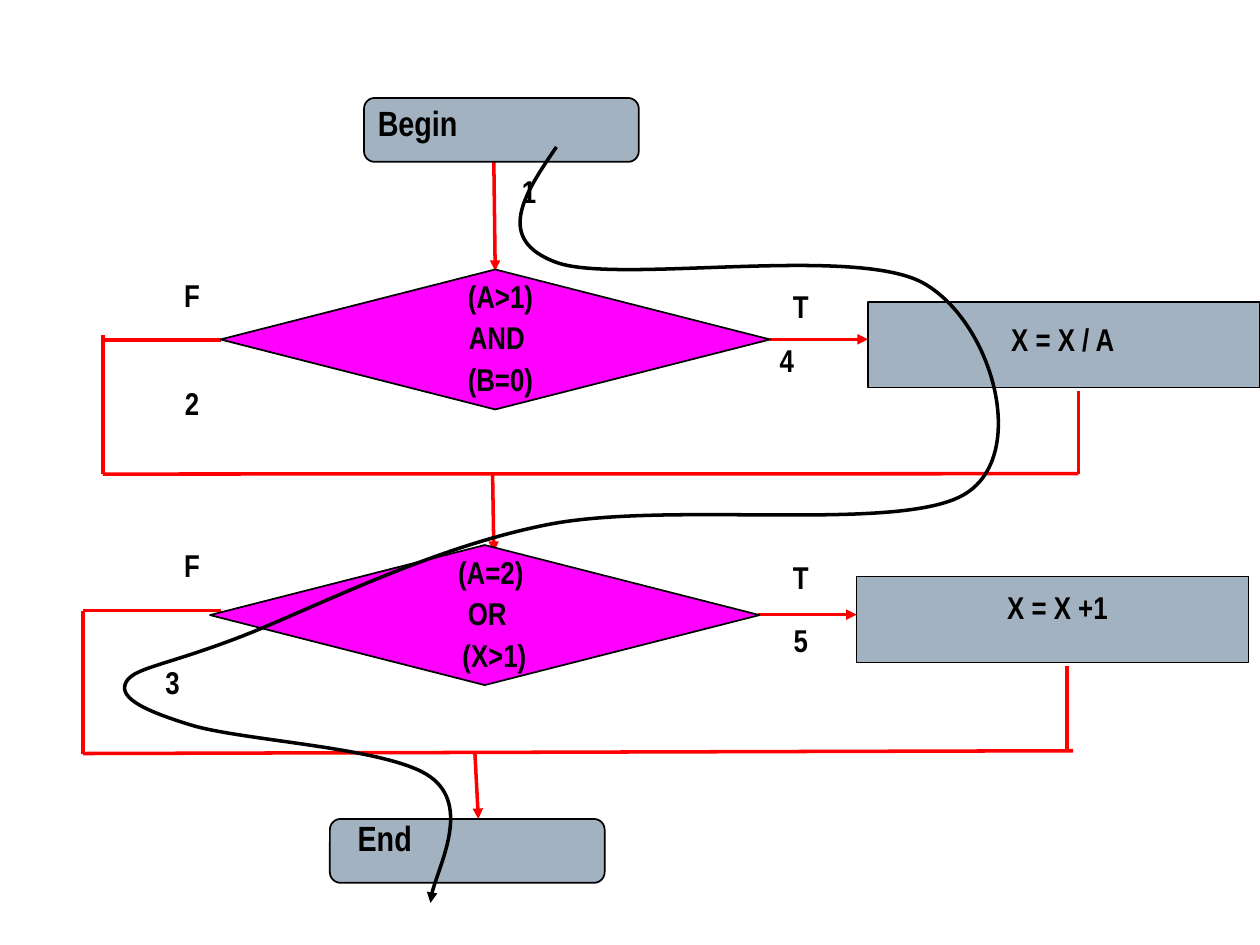
"""Build a flowchart slide with two decisions and one traced path."""
import pptx
import pptx.util
import pptx.dml.color
import pptx.enum.shapes
import pptx.enum.text
import pptx.oxml
import pptx.oxml.ns
import lxml.etree

Pt = pptx.util.Pt
Kind = pptx.enum.shapes.MSO_SHAPE
Align = pptx.enum.text.PP_ALIGN
qn = pptx.oxml.ns.qn

GREY, PINK, RED, BLACK = "A3B2C1", "FF00FF", "FF0000", "000000"

SIZES = {
    "round": (Kind.FLOWCHART_ALTERNATE_PROCESS, 157, 36.5, GREY),
    "test": (Kind.FLOWCHART_DECISION, 314, 80, PINK),
    "step": (Kind.FLOWCHART_PROCESS, 224, 49, GREY),
}
NODES = [
    ("round", 208, 56), ("test", 126, 154), ("step", 496, 172.5),
    ("test", 120, 311.5), ("step", 489.5, 329.5), ("round", 188.5, 468),
]
ARROWS = [
    (282.2, 92.2, 283, 154.8), (440, 193.9, 496, 193.9),
    (281.5, 270.7, 282.2, 315.4), (433.4, 351.2, 489.5, 351.2),
    (271.4, 430.6, 273.4, 468),
]
LINES = [
    (616.2, 223.2, 616.2, 270.7), (616.2, 270.7, 58.8, 270.9),
    (126, 194.3, 58.8, 194.3), (58.8, 191.5, 58.8, 270.9),
    (609.8, 380.6, 609.8, 429.5), (613.2, 429, 47.5, 430.6),
    (126, 349, 47.5, 349), (47.5, 349, 47.5, 430.6),
]
HEADS = [("Begin", 208.8, 54.7), ("End", 197.3, 463)]
TESTS = [
    (["(A>1)", "AND ", "(B=0)"], 179.5, 154.8),
    (["(A=2)", "OR ", " (X>1)"], 174, 312.5),
]
STEPS = [("X = X / A", 501, 179.3), ("X = X +1", 498, 332.6)]
MARKS = [
    ("1", 262.4, 95), ("2", 69.8, 216), ("3", 58.7, 375.1),
    ("4", 409.7, 191.5), ("5", 417.6, 351.4), ("T", 417.6, 160.6),
    ("T", 417.6, 315.4), ("F", 69.8, 154.1), ("F", 69.8, 308.2),
]
TRACE = [
    (318, 84), (300, 110.4), (282, 136.8), (318, 150),
    (352.8, 162.7), (489, 139.7), (528, 162),
    (567, 184.3), (588, 259.2), (552, 282),
    (516, 305), (382, 285.8), (312, 300),
    (242, 314), (172, 351.4), (132, 366),
    (92, 380.9), (76, 382), (72, 390),
    (68, 398), (79, 405), (108, 414),
    (137, 423.4), (223, 427), (246, 444),
    (269.3, 460.8), (246, 504), (246, 516),
]


def tint(text):
    return pptx.dml.color.RGBColor.from_string(text)


def apply(item, values):
    for name, value in values.items():
        setattr(item, name, value)


def stroke(shape, hue, width, head=False):
    shape.line.color.rgb = tint(hue)
    shape.line.width = Pt(width)
    if head:
        edge = shape.line._get_or_add_ln()
        lxml.etree.SubElement(edge, qn("a:tailEnd"), type="triangle")


def node(slide, name, left, top):
    kind, wide, high, hue = SIZES[name]
    shape = slide.shapes.add_shape(kind, Pt(left), Pt(top), Pt(wide), Pt(high))
    shape.shadow.inherit = False
    shape.fill.solid()
    shape.fill.fore_color.rgb = tint(hue)
    stroke(shape, BLACK, 1)


def link(slide, ends, head):
    line = slide.shapes.add_connector(
        pptx.enum.shapes.MSO_CONNECTOR.STRAIGHT, *map(Pt, ends))
    stroke(line, RED, 2, head)
    lxml.etree.SubElement(line._element.spPr, qn("a:effectLst"))


def label(slide, rows, left, top, wide, high, size=18, align=Align.CENTER):
    box = slide.shapes.add_textbox(Pt(left), Pt(top), Pt(wide), Pt(high))
    frame = box.text_frame
    frame.word_wrap = True
    frame.text = "\n".join(rows)
    for para in frame.paragraphs:
        apply(para, {"alignment": align, "space_after": Pt(2)})
        apply(para.font, {"name": "Arial Narrow", "size": Pt(size), "bold": True})
        para.font.color.rgb = tint(BLACK)


def curve(slide, spots):
    start, *rest = [(Pt(x), Pt(y)) for x, y in spots]
    pen = slide.shapes.build_freeform(*start)
    pen.add_line_segments(rest, close=False)
    shape = pen.convert_to_shape()
    shape.shadow.inherit = False
    shape.fill.background()
    stroke(shape, BLACK, 2, True)
    track = next(shape._element.iter(qn("a:path")))
    legs = track.findall(qn("a:lnTo"))
    for first in range(0, len(legs), 3):
        bend = lxml.etree.SubElement(track, qn("a:cubicBezTo"))
        for leg in legs[first:first + 3]:
            bend.append(leg[0])
            track.remove(leg)


def main():
    deck = pptx.Presentation()
    apply(deck, {"slide_width": Pt(720), "slide_height": Pt(540)})
    slide = deck.slides.add_slide(deck.slide_layouts[6])
    for group, head in ((ARROWS, True), (LINES, False)):
        for ends in group:
            link(slide, ends, head)
    for item in NODES:
        node(slide, *item)
    for text, left, top in HEADS:
        label(slide, [text], left, top, 174, 31, 20, Align.LEFT)
    for rows, left, top in TESTS:
        label(slide, rows, left, top, 213, 76)
    for group, wide in ((STEPS, 212.5), (MARKS, 80)):
        for text, left, top in group:
            label(slide, [text], left, top, wide, 29)
    curve(slide, TRACE)
    deck.save("out.pptx")


if __name__ == "__main__":
    main()
